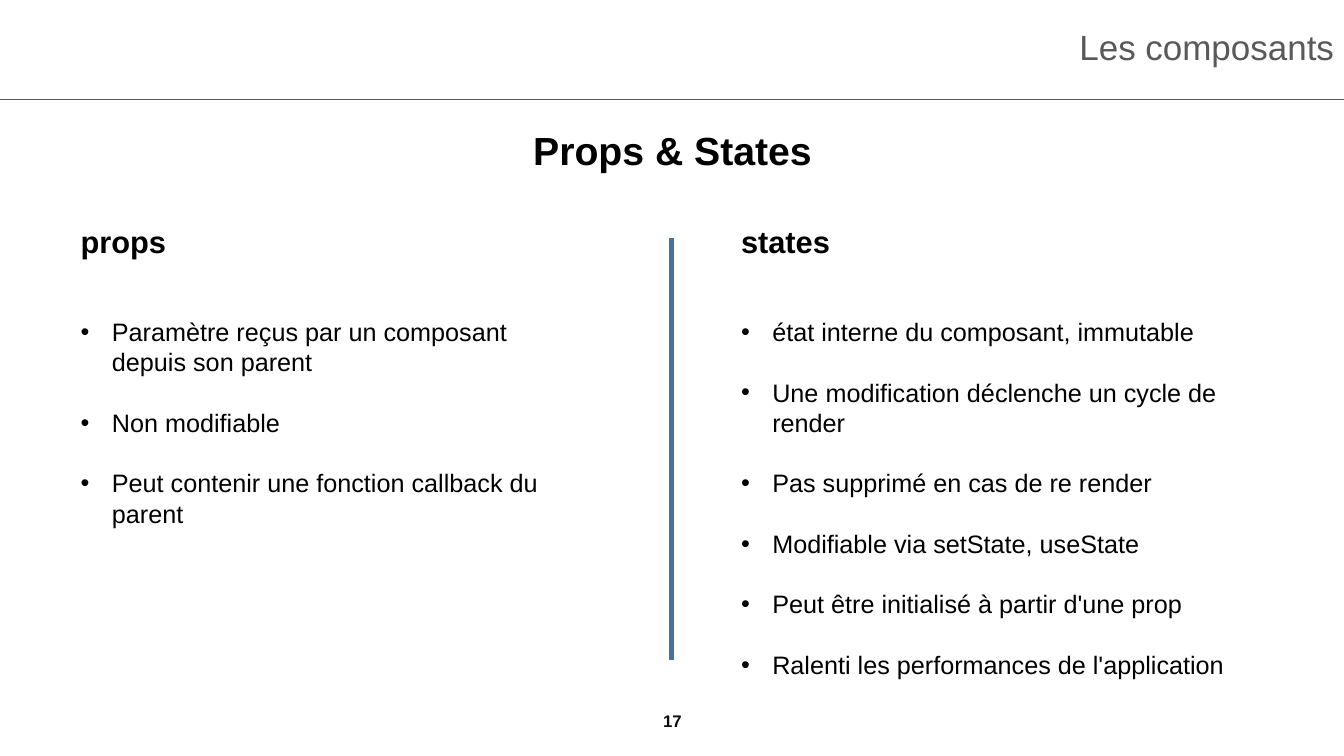
from lxml.etree import SubElement
from pptx import Presentation
from pptx.dml.color import RGBColor
from pptx.enum.shapes import MSO_CONNECTOR as Connector
from pptx.enum.text import MSO_ANCHOR as Anchor, MSO_AUTO_SIZE as AutoSize, PP_ALIGN as Align
from pptx.oxml.ns import qn
from pptx.util import Inches, Pt

# Content
CHAPTER = "Les composants"
TOPIC = "Props & States"
PAGE = "17"
COLUMNS = [
    ("props", [
        "Paramètre reçus par un composant depuis son parent",
        "Non modifiable",
        "Peut contenir une fonction callback du parent",
    ]),
    ("states", [
        "état interne du composant, immutable",
        "Une modification déclenche un cycle de render",
        "Pas supprimé en cas de re render",
        "Modifiable via setState, useState",
        "Peut être initialisé à partir d'une prop",
        "Ralenti les performances de l'application",
    ]),
]

# Layout
WIDTH, HEIGHT = 13.33, 7.5
COLUMN_LEFT, COLUMN_STEP, COLUMN_WIDTH = 0.7, 6.55, 5.14
HEADING_TOP, LIST_TOP = 2.16, 3.09
LEADING = 1.2
INDENT = 0.31


def rgb(color):
    return RGBColor.from_string(color)


def fill_text(shape, box, lines, size, color="000000", bold=False, align=Align.LEFT,
              anchor=Anchor.TOP, inset=(0.1, 0.05), spacing=None, gap=0, bullets=False):
    shape.left, shape.top, shape.width, shape.height = map(Inches, box)
    frame = shape.text_frame
    frame.word_wrap = True
    frame.auto_size = AutoSize.NONE
    frame.vertical_anchor = anchor
    frame.margin_left = frame.margin_right = Inches(inset[0])
    frame.margin_top = frame.margin_bottom = Inches(inset[1])
    frame.text = "\n".join(lines)
    for index, paragraph in enumerate(frame.paragraphs):
        paragraph.alignment = align
        paragraph.line_spacing = spacing
        paragraph.space_before = Pt(gap if index else 0)
        paragraph.space_after = Pt(0)
        if bullets:
            properties = paragraph._p.get_or_add_pPr()
            properties.set("marL", str(Inches(INDENT)))
            properties.set("indent", str(-Inches(INDENT)))
            SubElement(properties, qn("a:buFont"), typeface="Arial")
            SubElement(properties, qn("a:buChar"), char="•")
        for run in paragraph.runs:
            run.font.name = "Arial"
            run.font.size = Pt(size)
            run.font.bold = bold
            run.font.color.rgb = rgb(color)


def add_line(slide, start, end, color, width):
    line = slide.shapes.add_connector(Connector.STRAIGHT, *map(Inches, start + end))
    line.line.color.rgb = rgb(color)
    line.line.width = Pt(width)
    SubElement(line._element.spPr, qn("a:effectLst"))


def main():
    deck = Presentation()
    deck.slide_width, deck.slide_height = Inches(WIDTH), Inches(HEIGHT)
    slide = deck.slides.add_slide(deck.slide_layouts.get_by_name("Comparison"))
    title, *bodies = slide.placeholders

    # Chapter header and topic
    fill_text(title, (-0.11, -0.01, 13.34, 0.99), [CHAPTER], 25, "595959",
              align=Align.RIGHT, anchor=Anchor.MIDDLE, inset=(0, 0), spacing=0.9)
    add_line(slide, (0, 0.99), (WIDTH, 0.99), "595959", 0.5)
    topic = slide.shapes.add_textbox(0, 0, 0, 0)
    fill_text(topic, (1.67, 0.99, 10, 1.06), [TOPIC], 28, bold=True,
              align=Align.CENTER, anchor=Anchor.MIDDLE, inset=(0, 0), spacing=0.9)

    # Two columns and their divider
    for index, (heading, points) in enumerate(COLUMNS):
        left = COLUMN_LEFT + index * COLUMN_STEP
        heading_body, list_body = bodies[2 * index:2 * index + 2]
        fill_text(heading_body, (left, HEADING_TOP, COLUMN_WIDTH, 0.46), [heading], 22,
                  bold=True, spacing=Pt(22 * LEADING))
        line_height = 18 * LEADING
        fill_text(list_body, (left, LIST_TOP, COLUMN_WIDTH, 4.3), points, 18,
                  spacing=Pt(line_height), gap=line_height, bullets=True)
        for properties in heading_body._element.iter(qn("a:pPr")):
            properties.set("marL", "0")
            properties.set("indent", "0")
    add_line(slide, (6.66, 2.36), (6.66, 6.55), "43729D", 3)

    # Page number
    page = slide.shapes.add_textbox(0, 0, 0, 0)
    fill_text(page, (5.17, 7, 3, 0.4), [PAGE], 12, "0D0D0D", bold=True, align=Align.CENTER)

    deck.save("out.pptx")


if __name__ == "__main__":
    main()
